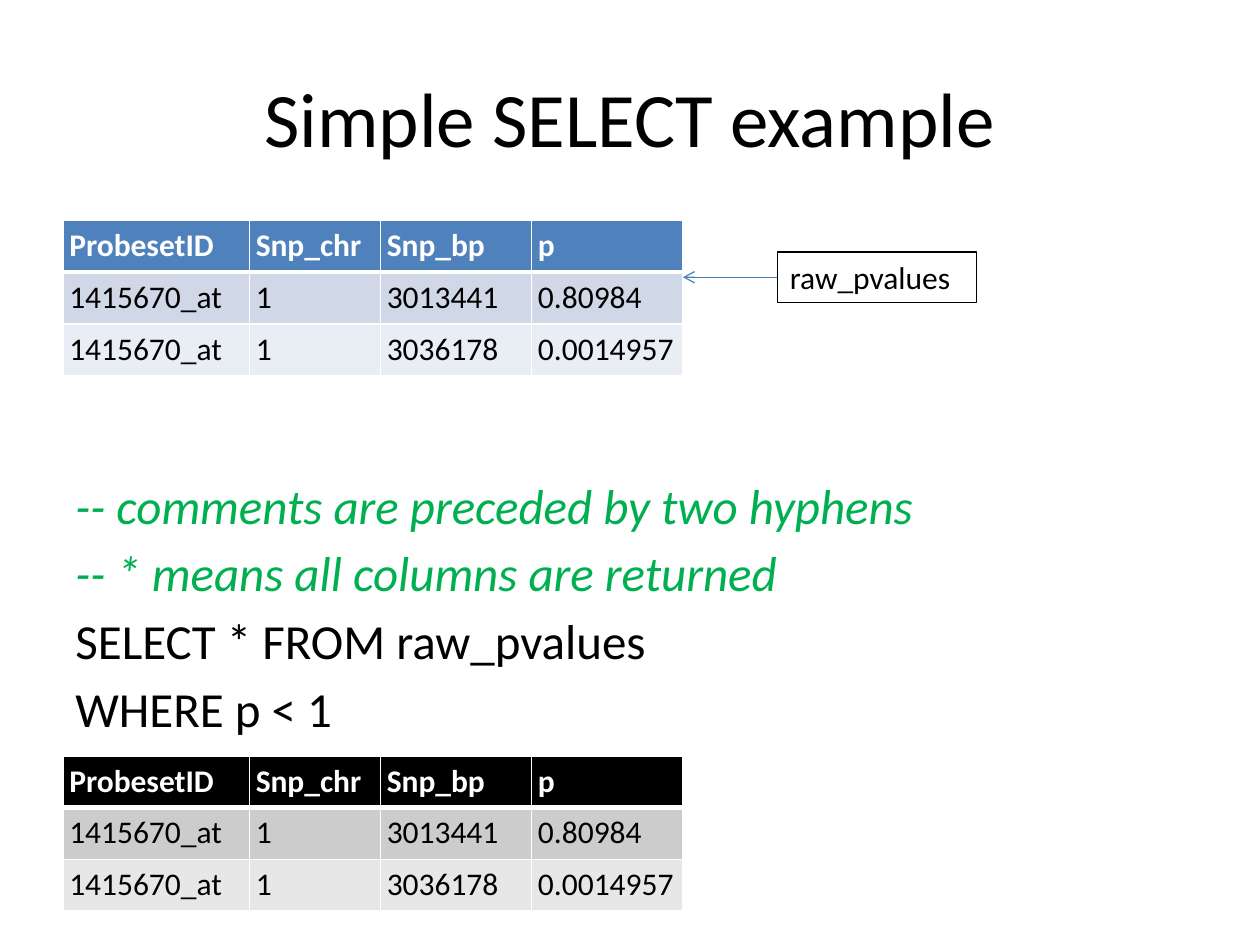
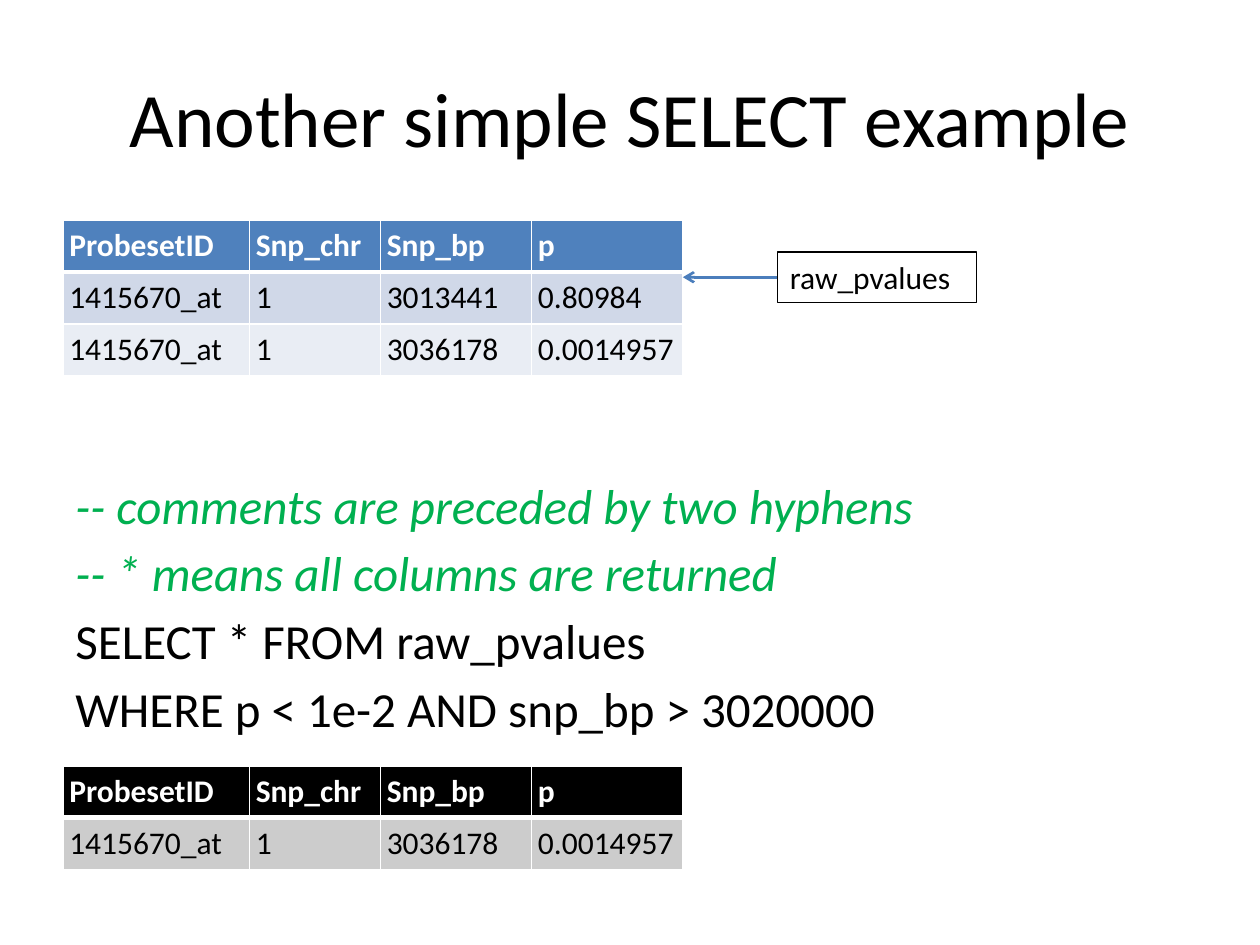
from lxml import etree
from pptx import Presentation
from pptx.dml.color import RGBColor
from pptx.enum.shapes import MSO_CONNECTOR
from pptx.enum.text import MSO_ANCHOR, PP_ALIGN
from pptx.oxml.ns import qn
from pptx.util import Pt

STRAIGHT = MSO_CONNECTOR.STRAIGHT
MIDDLE = MSO_ANCHOR.MIDDLE
CENTER, LEFT = PP_ALIGN.CENTER, PP_ALIGN.LEFT

SCALE = 9144
FONT = "Calibri"
BLACK, WHITE, GREEN, ARROW = "000000", "FFFFFF", "00B050", "4B7EBC"
BLUES = ("4F81BD", "D0D8E8", "E9EDF4")
GREYS = ("000000", "CCCCCC", "E7E7E7")

COLS = (148, 104, 120, 120)
ROW = 41
HEAD = ("ProbesetID", "Snp_chr", "Snp_bp", "p")
DATA = (
    ("1415670_at", "1", "3013441", "0.80984"),
    ("1415670_at", "1", "3036178", "0.0014957"),
)
NOTES = ("-- comments are preceded by two hyphens",
         "-- * means all columns are returned")
QUERY = "SELECT * FROM raw_pvalues"


def px(num):
    """Turn px into EMU."""
    return int(num * SCALE)


def color(code):
    """Turn a hex string into a colour."""
    return RGBColor.from_string(code)


def write(frame, text, size=18, ink=BLACK, bold=False, italic=False,
          align=LEFT, before=0):
    """Write one paragraph, filling the empty first one if there is one."""
    para = frame.paragraphs[0] if not frame.text else frame.add_paragraph()
    para.alignment = align
    para.space_before = Pt(before)
    run = para.add_run()
    run.text = text
    font = run.font
    font.name, font.size = FONT, Pt(size)
    font.bold, font.italic = bold, italic
    font.color.rgb = color(ink)


def border(cell, row):
    """Draw white cell borders, thick between the header and the data."""
    props = cell._tc.get_or_add_tcPr()
    widths = {"L": 1, "R": 1, "T": 3 if row == 1 else 1, "B": 3 if row == 0 else 1}
    for side, width in widths.items():
        line = etree.SubElement(props, qn(f"a:ln{side}"), w=str(Pt(width)))
        fill = etree.SubElement(line, qn("a:solidFill"))
        etree.SubElement(fill, qn("a:srgbClr"), val=WHITE)


def add_title(slide, box, text):
    """Place the slide title."""
    title = slide.shapes.title
    title.left, title.top, title.width, title.height = map(px, box)
    title.text_frame.vertical_anchor = MIDDLE
    write(title.text_frame, text, size=44, align=CENTER)


def add_grid(slide, left, top, rows, fills):
    """Place a table with a header row and banded data rows."""
    lines = (HEAD, *rows)
    table = slide.shapes.add_table(len(lines), len(COLS), px(left), px(top),
                                   px(sum(COLS)), px(ROW * len(lines))).table
    for col, width in zip(table.columns, COLS):
        col.width = px(width)
    for num, line in enumerate(lines):
        for pos, text in enumerate(line):
            cell = table.cell(num, pos)
            cell.margin_left = cell.margin_right = px(5)
            cell.margin_top = cell.margin_bottom = px(5)
            border(cell, num)
            cell.fill.solid()
            cell.fill.fore_color.rgb = color(fills[num])
            write(cell.text_frame, text, ink=BLACK if num else WHITE, bold=num == 0)


def add_code(slide, box, where):
    """Place the comments and the query below them."""
    frame = slide.shapes.add_textbox(*map(px, box)).text_frame
    frame.word_wrap = True
    frame.margin_top = px(60)
    for note in NOTES:
        write(frame, note, size=28, ink=GREEN, italic=True, before=5.1)
    for line in (QUERY, where):
        write(frame, line, size=28, before=5.1)


def add_label(slide, box, end, weight):
    """Place the boxed table name and its arrow, which ends at the given x."""
    left, top, _, high = box
    label = slide.shapes.add_textbox(*map(px, box))
    label.text_frame.word_wrap = True
    label.line.color.rgb = color(BLACK)
    label.line.width = Pt(0.75)
    write(label.text_frame, "raw_pvalues")
    mid = px(top + high / 2)
    arrow = slide.shapes.add_connector(STRAIGHT, px(left), mid, px(end), mid)
    arrow.line.color.rgb = color(ARROW)
    arrow.line.width = Pt(weight)
    etree.SubElement(arrow.line._get_or_add_ln(), qn("a:tailEnd"), type="arrow")
    etree.SubElement(arrow._element.spPr, qn("a:effectLst"))


def add_slide(deck, title, where, found, top, weight):
    """Build one example: source table, query and result table."""
    slide = deck.slides.add_slide(deck.slide_layouts[5])
    left = 50
    add_title(slide, (left, 30, 900, 125), title)
    add_grid(slide, left, 175, DATA, BLUES)
    add_code(slide, (left, 317, 908, 375), where)
    add_label(slide, (617, 200, 158, 40), left + sum(COLS), weight)
    add_grid(slide, left, top, found, GREYS)


def main():
    """Build and save the deck."""
    deck = Presentation()
    deck.slide_width, deck.slide_height = px(1000), px(750)
    add_slide(deck, "Simple SELECT example", "WHERE p < 1", DATA, 600, 0.75)
    add_slide(deck, "Another simple SELECT example",
              "WHERE p < 1e-2 AND snp_bp > 3020000", DATA[1:], 608, 1.5)
    deck.save("out.pptx")


if __name__ == "__main__":
    main()
